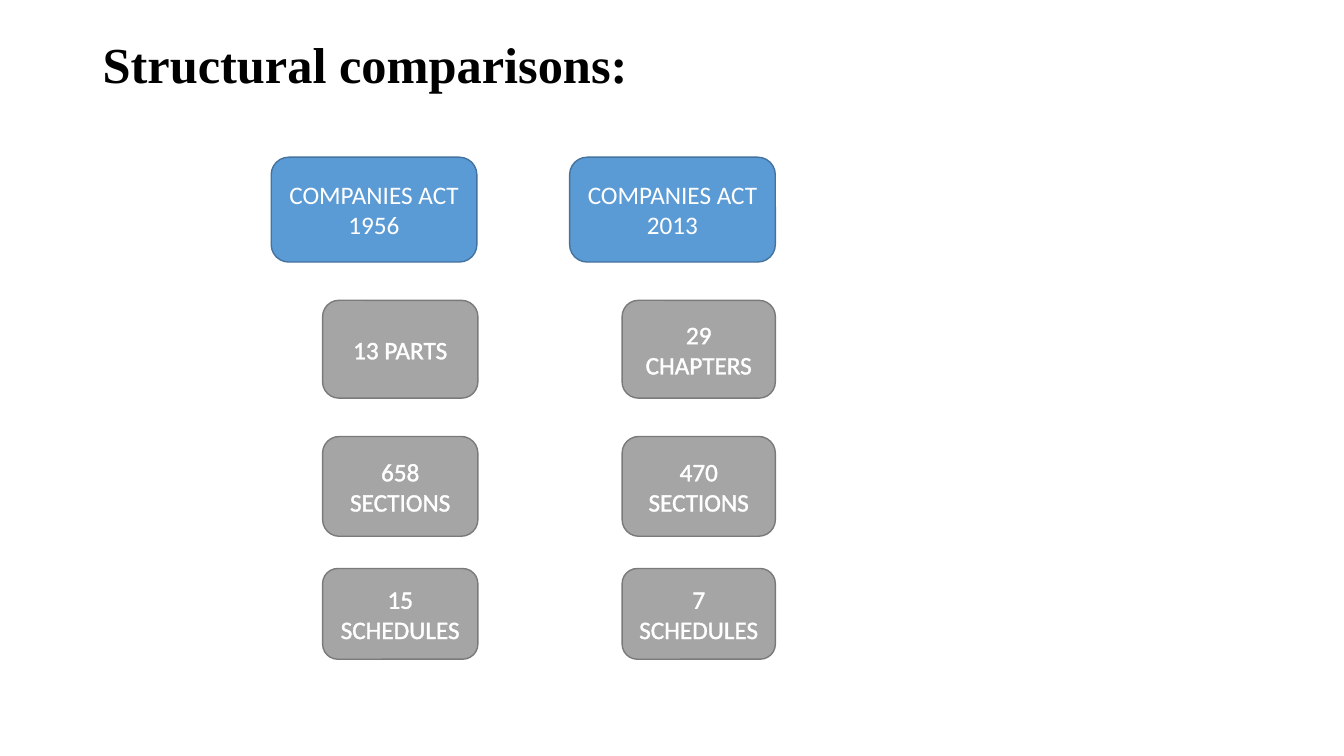
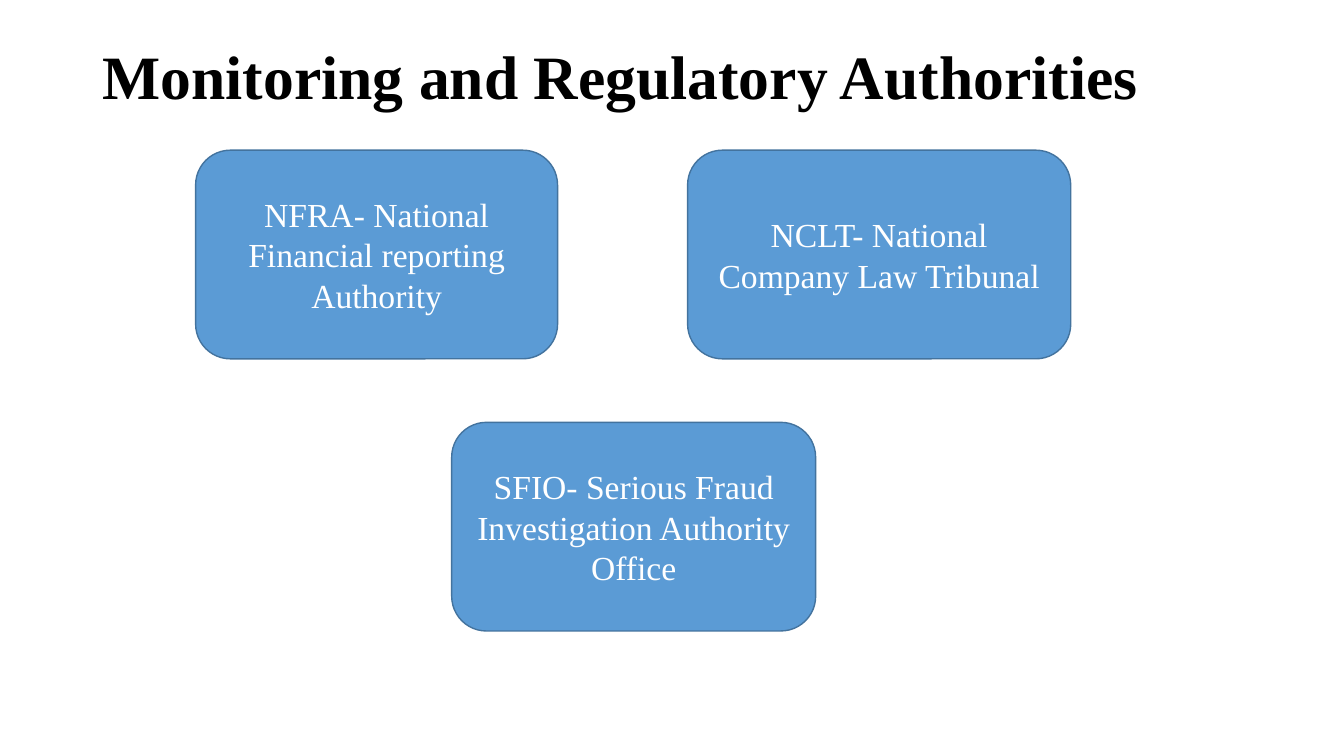
from lxml import etree
from pptx import Presentation
from pptx import util as u
from pptx.dml.color import RGBColor
from pptx.enum import shapes, text
from pptx.oxml import ns

COLORS = {
    "title": "000000", "text": "FFFFFF",
    "blue": "5B9BD5", "blue_edge": "43739E",
    "gray": "A5A5A5", "gray_edge": "7A7A7A",
}
SERIF, SANS = "Times New Roman", "Calibri"
TITLE_LEFT, TITLE_TOP, TITLE_WIDTH = 0.92, 0.4, 11.5

# Each act: left edge, header, left edge and width of its detail cards, details
ACTS = [
    (2.69, "COMPANIES ACT 1956", 3.2, 1.54,
     ["13 PARTS", "658 SECTIONS", "15 SCHEDULES"]),
    (5.65, "COMPANIES ACT 2013", 6.17, 1.52,
     ["29 CHAPTERS", "470 SECTIONS", "7 SCHEDULES"]),
]
HEADER_TOP, HEADER_WIDTH, HEADER_HEIGHT = 1.56, 2.04, 1.04
DETAIL_ROWS = [(2.98, 0.97), (4.33, 0.99), (5.64, 0.9)]

AUTHORITY_HEIGHT = 2.07
AUTHORITIES = [
    (1.94, 1.49, 3.59, "NFRA- National Financial reporting Authority"),
    (6.82, 1.49, 3.8, "NCLT- National Company Law Tribunal"),
    (4.48, 4.19, 3.61, "SFIO- Serious Fraud Investigation Authority Office"),
]


def rgb(name):
    return RGBColor.from_string(COLORS[name])


def inches(box):
    return [u.Inches(length) for length in box]


def write(shape, words, color, align, **font):
    frame = shape.text_frame
    frame.word_wrap = True
    frame.vertical_anchor = text.MSO_ANCHOR.MIDDLE
    para = frame.paragraphs[0]
    para.alignment = align
    span = para.add_run()
    span.text = words
    for name, value in font.items():
        setattr(span.font, name, value)
    span.font.color.rgb = rgb(color)
    return para, span


def outline_text(span, color, width):
    line = etree.Element(ns.qn("a:ln"), w=str(u.Pt(width)))
    fill = etree.SubElement(line, ns.qn("a:solidFill"))
    etree.SubElement(fill, ns.qn("a:srgbClr"), val=COLORS[color])
    span.font._element.insert(0, line)


def add_card(page, box, words, fill, font, size):
    card = page.shapes.add_shape(shapes.MSO_SHAPE.ROUNDED_RECTANGLE, *inches(box))
    card.shadow.inherit = False
    card.fill.solid()
    card.fill.fore_color.rgb = rgb(fill)
    card.line.color.rgb = rgb(fill + "_edge")
    card.line.width = u.Pt(1)
    para, span = write(card, words, "text", text.PP_ALIGN.CENTER,
                       name=font, size=u.Pt(size))
    return span


def add_page(deck, title, height, size):
    """Add a blank slide with a title of the given box height and text size."""
    page = deck.slides.add_slide(deck.slide_layouts[6])
    box = (TITLE_LEFT, TITLE_TOP, TITLE_WIDTH, height)
    para, span = write(page.shapes.add_textbox(*inches(box)), title, "title",
                       text.PP_ALIGN.LEFT, name=SERIF, size=u.Pt(size), bold=True)
    para.line_spacing = 0.9
    return page


def add_act(page, left, header, detail_left, detail_width, details):
    add_card(page, (left, HEADER_TOP, HEADER_WIDTH, HEADER_HEIGHT),
             header, "blue", SANS, 18)
    for (top, height), detail in zip(DETAIL_ROWS, details):
        span = add_card(page, (detail_left, top, detail_width, height),
                        detail, "gray", SANS, 18)
        outline_text(span, "text", 0.75)


def build_comparison(deck):
    page = add_page(deck, "Structural comparisons:", 0.54, 36)
    for act in ACTS:
        add_act(page, *act)


def build_authorities(deck):
    page = add_page(deck, "Monitoring and Regulatory Authorities", 0.78, 44)
    for left, top, width, name in AUTHORITIES:
        add_card(page, (left, top, width, AUTHORITY_HEIGHT), name, "blue", SERIF, 24)


def main():
    deck = Presentation()
    deck.slide_width, deck.slide_height = inches((13.33, 7.5))
    build_comparison(deck)
    build_authorities(deck)
    deck.save("out.pptx")


if __name__ == "__main__":
    main()
